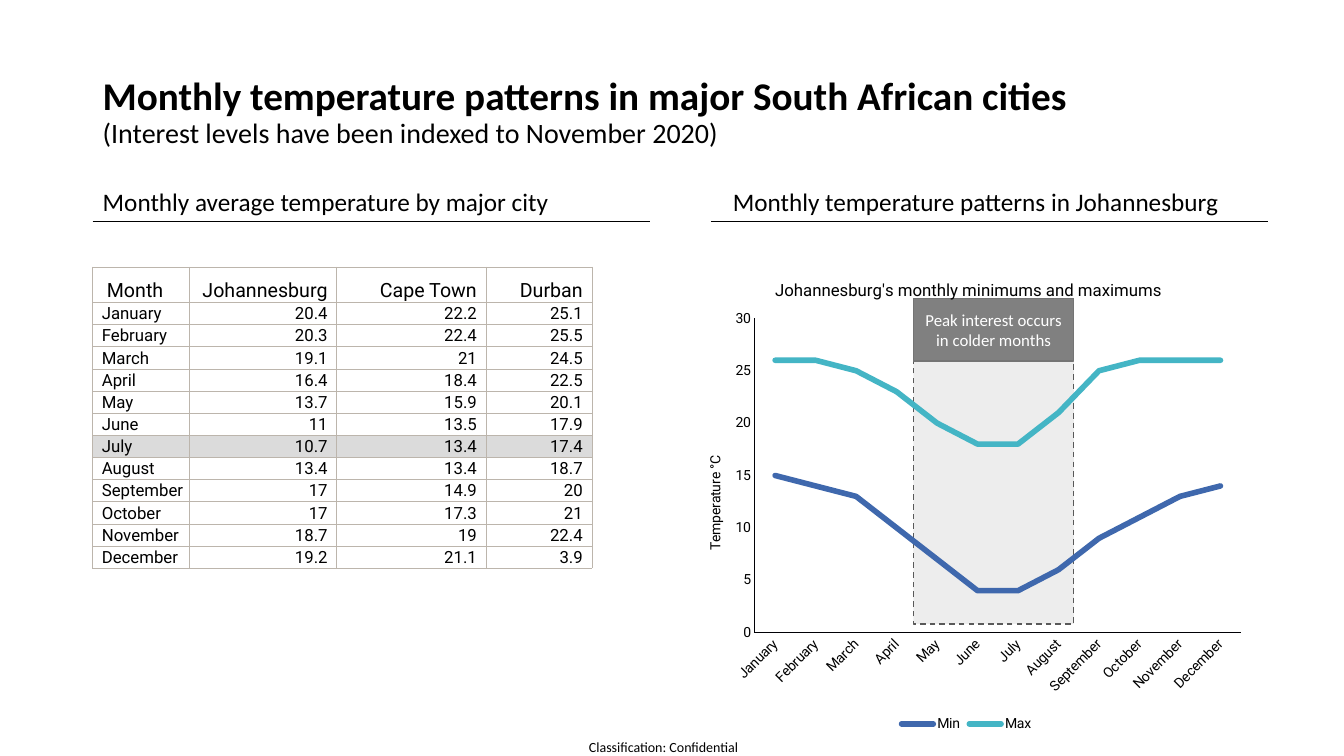
from lxml import etree
from pptx import Presentation
from pptx import util as u
from pptx.chart.data import CategoryChartData
from pptx.dml.color import RGBColor
from pptx.enum import chart as ch, dml, shapes, text
from pptx.oxml.ns import qn

COLORS = {
    "black": "000000", "white": "FFFFFF", "band": "EDEDED", "dash": "595959",
    "label": "808080", "edge": "747474", "july": "DBDBDB", "grid": "BCB5AC",
    "axis": "000005", "min": "3F68AD", "max": "44B5C5",
}
CITIES = ["Month", "Johannesburg", "Cape Town", "Durban"]
TEMPS = [
    ("January", 20.4, 22.2, 25.1), ("February", 20.3, 22.4, 25.5),
    ("March", 19.1, 21, 24.5), ("April", 16.4, 18.4, 22.5),
    ("May", 13.7, 15.9, 20.1), ("June", 11, 13.5, 17.9),
    ("July", 10.7, 13.4, 17.4), ("August", 13.4, 13.4, 18.7),
    ("September", 17, 14.9, 20), ("October", 17, 17.3, 21),
    ("November", 18.7, 19, 22.4), ("December", 19.2, 21.1, 3.9),
]
RANGES = {
    "Min": (15, 14, 13, 10, 7, 4, 4, 6, 9, 11, 13, 14),
    "Max": (26, 26, 25, 23, 20, 18, 18, 21, 25, 26, 26, 26),
}
LEFT, CENTER, RIGHT = text.PP_ALIGN.LEFT, text.PP_ALIGN.CENTER, text.PP_ALIGN.RIGHT
MIDDLE, BOTTOM = text.MSO_ANCHOR.MIDDLE, text.MSO_ANCHOR.BOTTOM


def color(name):
    return RGBColor.from_string(COLORS[name])


def style(font, size, face="Calibri", ink="black", bold=False):
    font.size, font.name, font.bold = u.Pt(size), face, bold
    font.color.rgb = color(ink)


def write(para, words, align=LEFT, spacing=None, **look):
    """Add one formatted run to a paragraph."""
    run = para.add_run()
    run.text = words
    para.alignment = align
    if spacing:
        para.line_spacing = spacing
    style(run.font, **look)


def stroke(line, ink, width):
    line.color.rgb = color(ink)
    line.width = u.Pt(width)


def place(node, **spots):
    """Give a chart part a manual layout, in fractions of the chart."""
    for old in node.findall(qn("c:layout")):
        node.remove(old)
    layout = etree.Element(qn("c:layout"))
    manual = etree.SubElement(layout, qn("c:manualLayout"))
    if "w" in spots:
        etree.SubElement(manual, qn("c:layoutTarget")).set("val", "inner")
    for axis in "xy":
        etree.SubElement(manual, qn(f"c:{axis}Mode")).set("val", "edge")
    for key, value in spots.items():
        etree.SubElement(manual, qn(f"c:{key}")).set("val", str(value))
    node.insert(0 if node.find(qn("c:tx")) is None else 1, layout)


class Deck:
    def __init__(self):
        self.prs = Presentation()
        self.prs.slide_width, self.prs.slide_height = u.Inches(13.33), u.Inches(7.5)
        self.slide = self.prs.slides.add_slide(self.prs.slide_layouts[6])
        self.items = self.slide.shapes

    def label(self, box, *parts, inset=None, **look):
        """Add a text box; each part is (words, format) on its own line."""
        frame = self.items.add_textbox(*map(u.Inches, box)).text_frame
        frame.word_wrap = True
        frame.vertical_anchor = MIDDLE
        if inset is not None:
            frame.margin_left = frame.margin_right = u.Inches(inset)
            frame.margin_top = frame.margin_bottom = u.Inches(inset)
        para = frame.paragraphs[0]
        for i, (words, extra) in enumerate(parts):
            if i:
                para.add_line_break()
            write(para, words, **look, **extra)

    def rect(self, box, fill, ink, dash=None):
        item = self.items.add_shape(shapes.MSO_SHAPE.RECTANGLE, *map(u.Inches, box))
        item.shadow.inherit = False
        item.fill.solid()
        item.fill.fore_color.rgb = color(fill)
        stroke(item.line, ink, 1)
        item.line.dash_style = dash
        item.text_frame.vertical_anchor = MIDDLE
        return item

    def rule(self, left, right, top):
        line = self.items.add_connector(
            shapes.MSO_CONNECTOR.STRAIGHT, *map(u.Inches, (left, top, right, top)))
        stroke(line.line, "black", 0.5)
        etree.SubElement(line._element.spPr, qn("a:effectLst"))

    def cell(self, cell, words, size, anchor, fill, first, pad):
        cell.vertical_anchor = anchor
        cell.margin_left = u.Inches(pad if first else 0.01)
        cell.margin_right = u.Inches(0.01 if first else 0.09)
        cell.margin_top, cell.margin_bottom = u.Inches(0.01), 0
        write(cell.text_frame.paragraphs[0], words, LEFT if first else RIGHT,
              size=size, face="Roboto")
        if fill:
            cell.fill.solid()
            cell.fill.fore_color.rgb = color(fill)
        else:
            cell.fill.background()
        props = cell._tc.get_or_add_tcPr()
        for i, side in enumerate("LRTB"):
            edge = etree.Element(qn(f"a:ln{side}"), w=str(u.Pt(0.5)))
            paint = etree.SubElement(edge, qn("a:solidFill"))
            etree.SubElement(paint, qn("a:srgbClr")).set("val", COLORS["grid"])
            props.insert(i, edge)

    def table(self, box, widths, rows):
        grid = self.items.add_table(len(rows), len(widths), *map(u.Inches, box)).table
        grid.first_row = grid.horz_banding = False
        for col, width in zip(grid.columns, widths):
            col.width = u.Inches(width)
        for r, row in enumerate(rows):
            head = r == 0
            grid.rows[r].height = u.Inches(0.35 if head else 0.22)
            fill = "white" if head else "july" if row[0] == "July" else None
            for c, value in enumerate(row):
                self.cell(grid.cell(r, c), str(value), 14 if head else 12,
                          BOTTOM if head else MIDDLE, fill, c == 0,
                          0.14 if head else 0.09)

    def axis(self, axis):
        axis.has_major_gridlines = False
        axis.major_tick_mark = axis.minor_tick_mark = ch.XL_TICK_MARK.NONE
        style(axis.tick_labels.font, 10, "Roboto")
        stroke(axis.format.line, "axis", 0.75)

    def chart(self, box):
        data = CategoryChartData(number_format="0")
        data.categories = [row[0] for row in TEMPS]
        for name, values in RANGES.items():
            data.add_series(name, values)
        chart = self.items.add_chart(
            ch.XL_CHART_TYPE.LINE, *map(u.Inches, box), data).chart
        style(chart.font, 10)
        root = chart.element
        clear = etree.Element(qn("c:spPr"))
        etree.SubElement(clear, qn("a:noFill"))
        etree.SubElement(etree.SubElement(clear, qn("a:ln")), qn("a:noFill"))
        root.find(qn("c:txPr")).addprevious(clear)

        chart.has_title = True
        write(chart.chart_title.text_frame.paragraphs[0],
              "Johannesburg's monthly minimums and maximums", CENTER,
              size=12, face="Roboto")
        months, temps = chart.category_axis, chart.value_axis
        for axis in (months, temps):
            self.axis(axis)
        root.find(f".//{qn('c:catAx')}/{qn('c:txPr')}/{qn('a:bodyPr')}").set(
            "rot", "-2700000")
        temps.minimum_scale, temps.maximum_scale, temps.major_unit = 0, 30, 5
        write(temps.axis_title.text_frame.paragraphs[0], "Temperature °C", CENTER,
              size=10, face="Roboto")
        place(root.find(f"{qn('c:chart')}/{qn('c:title')}"), x=0.16, y=0.04)
        place(root.find(f".//{qn('c:valAx')}/{qn('c:title')}"), x=0.04, y=0.41)
        place(root.find(f".//{qn('c:plotArea')}"), x=0.13, y=0.13, w=0.85, h=0.655)

        chart.has_legend = True
        chart.legend.position = ch.XL_LEGEND_POSITION.BOTTOM
        chart.legend.include_in_layout = False
        style(chart.legend.font, 10, "Roboto")
        for series in chart.plots[0].series:
            series.smooth = False
            series.marker.style = ch.XL_MARKER_STYLE.NONE
            stroke(series.format.line, series.name.lower(), 4)
        for line in root.iterfind(f".//{qn('c:ser')}/{qn('c:spPr')}/{qn('a:ln')}"):
            line.set("cap", "rnd")


def main():
    deck = Deck()
    deck.label((5.82, 7.33, 1.52, 0.17), ("Classification: Confidential", {}),
               inset=0, size=10, align=CENTER)
    deck.label((0.92, 0.4, 11.5, 1.45),
               ("Monthly temperature patterns in major South African cities",
                {"size": 28, "bold": True}),
               ("(Interest levels have been indexed to November 2020)", {"size": 20}),
               spacing=0.9)
    deck.rect((9.06, 2.96, 1.59, 3.23), "band", "dash", dml.MSO_LINE.DASH)
    peak = deck.rect((9.06, 2.96, 1.59, 0.62), "label", "edge")
    peak.text_frame.word_wrap = True
    write(peak.text_frame.paragraphs[0], "Peak interest occurs in colder months",
          CENTER, size=12, ink="white")
    deck.chart((6.75, 2.54, 5.67, 4.76))
    deck.table((0.92, 2.65, 4.95, 3.01), (0.96, 1.46, 1.48, 1.05), [CITIES] + TEMPS)
    for left, start, words in (
            (0.92, 0.92, "Monthly average temperature by major city"),
            (7.17, 7.05, "Monthly temperature patterns in Johannesburg")):
        deck.label((left, 1.79, 5.39, 0.42), (words, {}), size=18)
        deck.rule(start, start + 5.53, 2.2)
    deck.prs.save("out.pptx")


if __name__ == "__main__":
    main()
